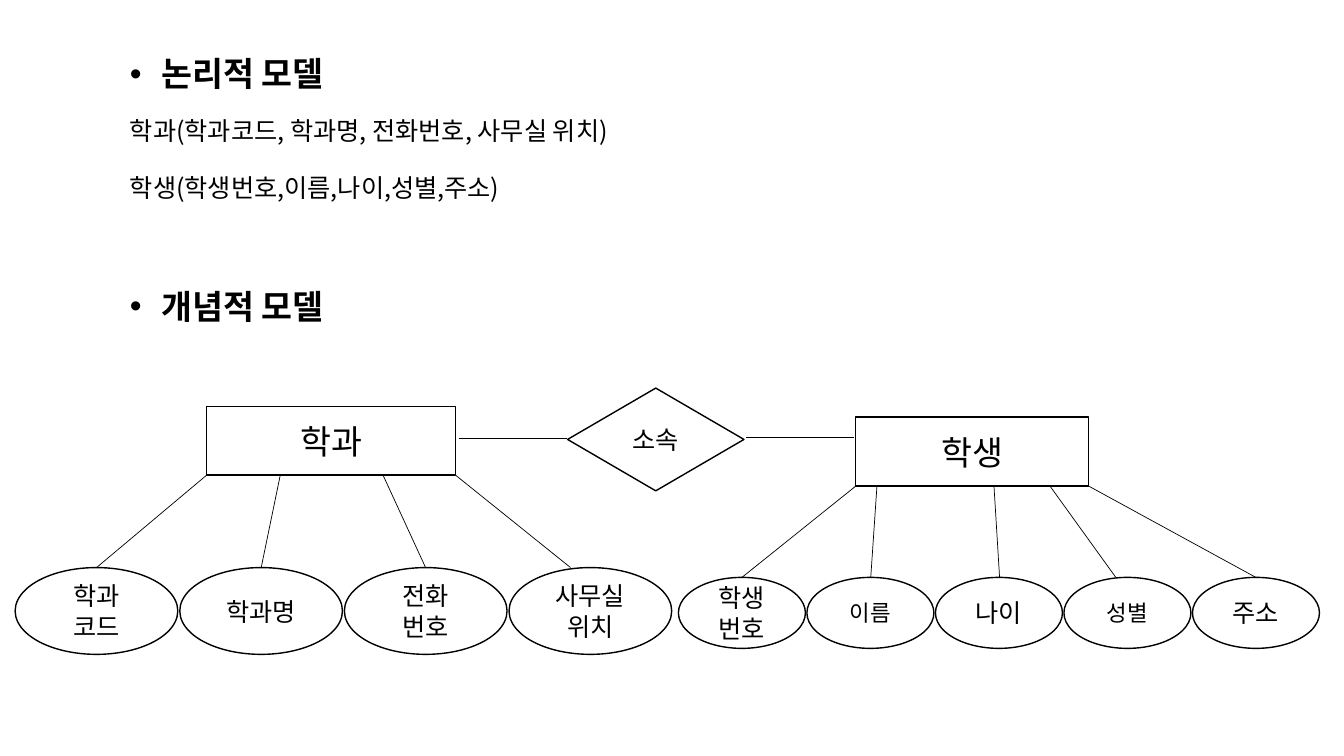
"""Build a slide showing a logical model and its entity-relationship diagram."""
from lxml import etree
from pptx import Presentation
from pptx.dml.color import RGBColor
from pptx.enum import shapes, text
from pptx.oxml import ns
from pptx.util import Pt

BLACK = RGBColor(0, 0, 0)
WHITE = RGBColor(255, 255, 255)
FONT = "Noto Sans CJK KR"


def write_text(shape, content, size=18, bold=False, centered=False, bullet=False):
    frame = shape.text_frame
    frame.word_wrap = True
    frame.text = content
    if centered:
        frame.vertical_anchor = text.MSO_ANCHOR.MIDDLE
        frame.margin_left = frame.margin_right = Pt(0)
        frame.margin_top = frame.margin_bottom = Pt(0)
    for paragraph in frame.paragraphs:
        paragraph.alignment = text.PP_ALIGN.CENTER if centered else text.PP_ALIGN.LEFT
        run = paragraph.runs[0]
        run.font.name = FONT
        run.font.size = Pt(size)
        run.font.bold = bold
        run.font.color.rgb = BLACK
        east_asian = etree.SubElement(run.font._element, ns.qn("a:ea"))
        east_asian.set("typeface", FONT)
        if bullet:
            properties = paragraph._p.get_or_add_pPr()
            properties.set("marL", str(Pt(22.5)))
            properties.set("indent", str(-Pt(22.5)))
            etree.SubElement(properties, ns.qn("a:buFont")).set("typeface", "Arial")
            etree.SubElement(properties, ns.qn("a:buChar")).set("char", "•")


def add_node(kind, box, content, size):
    node = slide.shapes.add_shape(kind, *map(Pt, box))
    node.shadow.inherit = False
    node.fill.solid()
    node.fill.fore_color.rgb = WHITE
    node.line.color.rgb = BLACK
    node.line.width = Pt(1)
    write_text(node, content, size, centered=True)


presentation = Presentation()
presentation.slide_width = Pt(960)
presentation.slide_height = Pt(540)
slide = presentation.slides.add_slide(presentation.slide_layouts[6])

entities = [
    {"name": "학과", "box": (147.6, 290.2, 177.8, 49.2),
     "left": 10.8, "top": 405.4, "pitch": 117.6, "size": (116.2, 62),
     "attributes": [("학과\n코드", 18), ("학과명", 18), ("전화\n번호", 18), ("사무실\n위치", 18)],
     "spokes": [(147.6, 69), (200.2, 186.6), (273.6, 304), (325.4, 407.5)]},
    {"name": "학생", "box": (611.3, 298, 166.3, 49.2),
     "left": 484.6, "top": 412.4, "pitch": 91.8, "size": (90.7, 50.7),
     "attributes": [("학생\n번호", 18), ("이름", 16), ("나이", 18), ("성별", 16), ("주소", 18)],
     "spokes": [(611.3, 530), (626.4, 622), (710, 714), (750, 797), (777.6, 897)]},
]

lines = [(327.6, 313, 405, 313), (532.8, 312.5, 610, 312.5)]
for entity in entities:
    add_node(shapes.MSO_SHAPE.RECTANGLE, entity["box"], entity["name"], 24)
    for index, (attribute, size) in enumerate(entity["attributes"]):
        left = entity["left"] + index * entity["pitch"]
        add_node(shapes.MSO_SHAPE.OVAL, (left, entity["top"], *entity["size"]), attribute, size)
    bottom = entity["box"][1] + entity["box"][3]
    lines += [(start, bottom, end, entity["top"]) for start, end in entity["spokes"]]

add_node(shapes.MSO_SHAPE.DIAMOND, (405.4, 277.2, 126, 73.4), "소속", 18)

for line in lines:
    connector = slide.shapes.add_connector(shapes.MSO_CONNECTOR.STRAIGHT, *map(Pt, line))
    connector.line.color.rgb = BLACK
    connector.line.width = Pt(0.5)
    etree.SubElement(connector._element.spPr, ns.qn("a:effectLst"))

heading = {"size": 24, "bold": True, "bullet": True}
for top, width, height, content, style in [
    (34.6, 167, 36, "논리적 모델", heading),
    (78.5, 391, 29, "학과(학과코드, 학과명, 전화번호, 사무실 위치)", {}),
    (119.5, 296, 29, "학생(학생번호,이름,나이,성별,주소)", {}),
    (200.9, 167, 36, "개념적 모델", heading),
]:
    label = slide.shapes.add_textbox(Pt(85.7), Pt(top), Pt(width), Pt(height))
    write_text(label, content, **style)

presentation.save("out.pptx")
